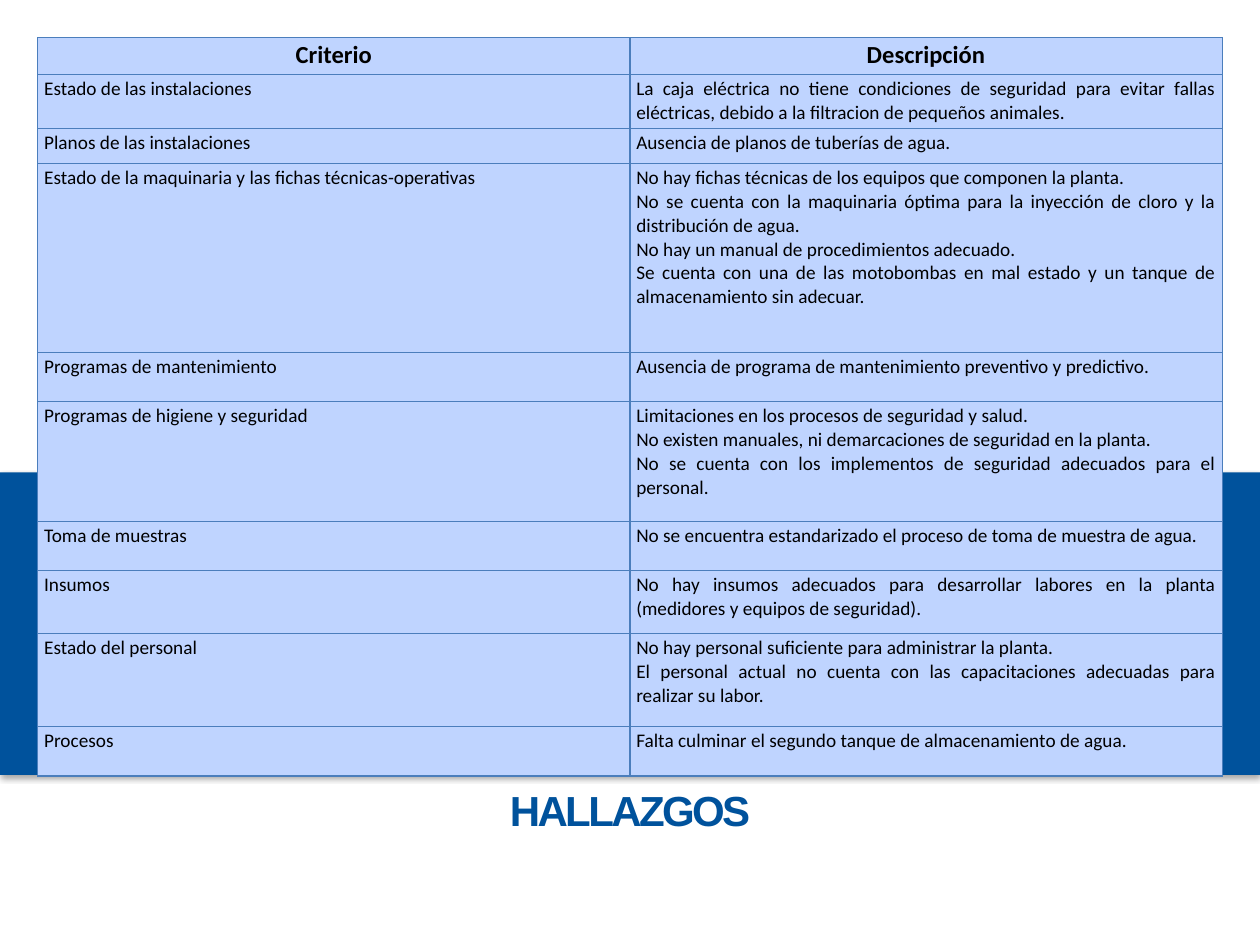
from lxml import etree
from pptx import Presentation
from pptx.dml.color import RGBColor
from pptx.enum.shapes import MSO_SHAPE
from pptx.enum.text import MSO_ANCHOR, PP_ALIGN
from pptx.oxml import parse_xml
from pptx.oxml.ns import nsdecls, qn
from pptx.util import Inches, Pt

RECTANGLE = MSO_SHAPE.RECTANGLE
BOTTOM = MSO_ANCHOR.BOTTOM
CENTER, JUSTIFY = PP_ALIGN.CENTER, PP_ALIGN.JUSTIFY

COLORS = {"blue": "00529C", "cell": "BFD4FF", "border": "4B7EBC",
          "text": "000000", "shadow": "000000"}
WIDTH, HEIGHT = 10, 7.5
TITLE_ONLY = 5

HEADER = ("Criterio", ["Descripción"], 0.29)
FINDINGS = [
    ("Estado de las instalaciones",
     ["La caja eléctrica no tiene condiciones de seguridad para evitar fallas eléctricas, "
      "debido a la filtracion de pequeños animales."], 0.43),
    ("Planos de las instalaciones", ["Ausencia de planos de tuberías de agua."], 0.28),
    ("Estado de la maquinaria y las fichas técnicas-operativas",
     ["No hay fichas técnicas de los equipos que componen la planta.",
      "No se cuenta con la maquinaria óptima para la inyección de cloro y la "
      "distribución de agua.",
      "No hay un manual de procedimientos adecuado.",
      "Se cuenta con una de las motobombas en mal estado y un tanque de "
      "almacenamiento sin adecuar."], 1.5),
    ("Programas de mantenimiento",
     ["Ausencia de programa de mantenimiento preventivo y predictivo."], 0.39),
    ("Programas de higiene y seguridad",
     ["Limitaciones en los procesos de seguridad y salud.",
      "No existen manuales, ni demarcaciones de seguridad en la planta.",
      "No se cuenta con los implementos de seguridad adecuados para el personal."], 0.95),
    ("Toma de muestras",
     ["No se encuentra estandarizado el proceso de toma de muestra de agua."], 0.39),
    ("Insumos",
     ["No hay insumos adecuados para desarrollar labores en la "
      "planta (medidores y equipos de seguridad)."], 0.5),
    ("Estado del personal",
     ["No hay personal suficiente para administrar la planta.",
      "El personal actual no cuenta con las capacitaciones adecuadas para "
      "realizar su labor."], 0.74),
    ("Procesos", ["Falta culminar el segundo tanque de almacenamiento de agua."], 0.39),
]


def color(name):
    """Return the named colour."""
    return RGBColor.from_string(COLORS[name])


def style_paragraph(para, font_name, size, color_name, bold, align):
    """Format a whole paragraph."""
    para.alignment = align
    para.font.name = font_name
    para.font.size = Pt(size)
    para.font.bold = bold
    para.font.color.rgb = color(color_name)


def add_band(page, box):
    """Place the shadowed blue band behind everything else."""
    band = page.shapes.add_shape(RECTANGLE, *box)
    band.fill.solid()
    band.fill.fore_color.rgb = color("blue")
    band.line.fill.background()
    band.shadow.inherit = False
    effects = band._element.spPr.find(qn("a:effectLst"))
    effects.append(parse_xml(
        f'<a:outerShdw {nsdecls("a")} blurRad="{Pt(3.1)}" dist="{Pt(1.8)}" dir="5400000" '
        f'rotWithShape="0"><a:srgbClr val="{COLORS["shadow"]}"><a:alpha val="35000"/>'
        '</a:srgbClr></a:outerShdw>'))
    page.shapes._spTree.insert(2, band._element)


def add_title(page, box, text):
    """Fill the title placeholder."""
    title = page.shapes.title
    title.left, title.top, title.width, title.height = box
    frame = title.text_frame
    frame.word_wrap = True
    frame.vertical_anchor = BOTTOM
    para = frame.paragraphs[0]
    span = para.add_run()
    span.text = text
    span._r.get_or_add_rPr().set("spc", "-150")
    style_paragraph(para, "Arial", 24, "blue", True, CENTER)


def add_borders(cell):
    """Draw a thin line on each side of a cell."""
    properties = cell._tc.get_or_add_tcPr()
    for side in ("lnL", "lnR", "lnT", "lnB"):
        line = etree.SubElement(properties, qn(f"a:{side}"), w=str(Pt(0.75)))
        fill = etree.SubElement(line, qn("a:solidFill"))
        etree.SubElement(fill, qn("a:srgbClr"), val=COLORS["border"])


def fill_cell(cell, lines, is_header):
    """Write and format one table cell."""
    add_borders(cell)
    cell.fill.solid()
    cell.fill.fore_color.rgb = color("cell")
    cell.margin_left = cell.margin_right = Inches(0.05)
    cell.margin_top = cell.margin_bottom = Inches(0.02)
    cell.text_frame.text = "\n".join(lines)
    for para in cell.text_frame.paragraphs:
        style_paragraph(para, "Calibri", 14 if is_header else 11, "text", is_header,
                        CENTER if is_header else JUSTIFY)


def add_findings(page, box):
    """Place the table of criteria and descriptions."""
    rows = [HEADER, *FINDINGS]
    table = page.shapes.add_table(len(rows), 2, *box).table
    for column in table.columns:
        column.width = box[2] // 2
    for index, (criterion, description, height) in enumerate(rows):
        table.rows[index].height = Inches(height)
        for position, lines in enumerate(([criterion], description)):
            fill_cell(table.cell(index, position), lines, index == 0)


def share(left, top, width, height):
    """Turn shares of the slide into a box."""
    return (Inches(WIDTH * left), Inches(HEIGHT * top),
            Inches(WIDTH * width), Inches(HEIGHT * height))


def main():
    """Build and save the deck."""
    deck = Presentation()
    deck.slide_width, deck.slide_height = Inches(WIDTH), Inches(HEIGHT)
    page = deck.slides.add_slide(deck.slide_layouts[TITLE_ONLY])
    add_band(page, share(0, 0.5, 1, 0.32))
    add_title(page, share(0.2, 0.81, 0.6, 0.08), "HALLAZGOS")
    add_findings(page, share(0.03, 0.04, 0.94, 0.78))
    deck.save("out.pptx")


if __name__ == "__main__":
    main()
